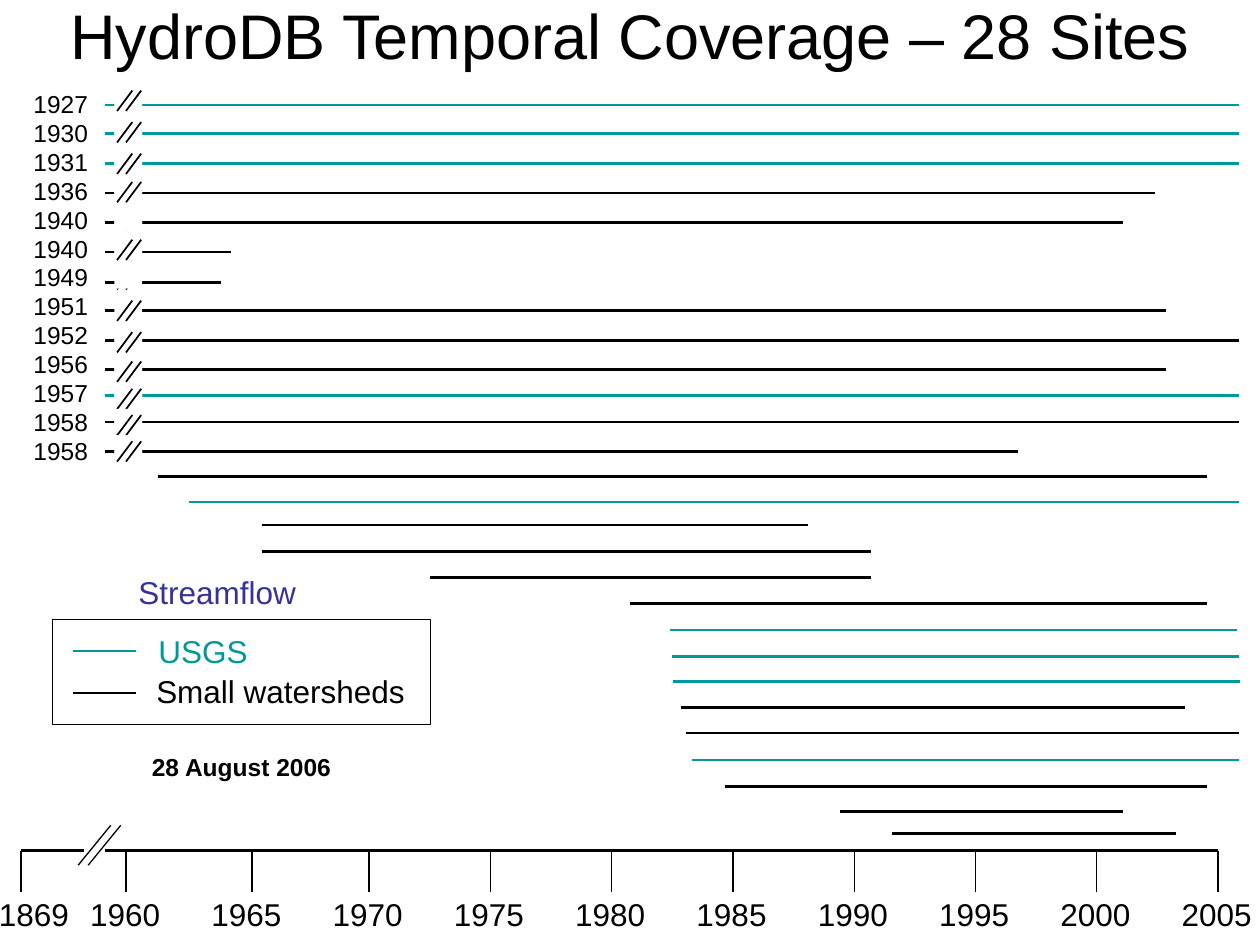
from dataclasses import dataclass

from lxml.etree import SubElement
from pptx import Presentation
from pptx.dml.color import RGBColor
from pptx.enum.shapes import MSO_CONNECTOR as Connector, MSO_SHAPE as Preset
from pptx.enum.text import MSO_ANCHOR as Anchor, MSO_AUTO_SIZE as AutoSize, PP_ALIGN as Align
from pptx.oxml.ns import qn
from pptx.util import Inches, Pt


@dataclass(frozen=True)
class Theme:
    font: str = "Arial"
    black: RGBColor = RGBColor(0x00, 0x00, 0x00)
    white: RGBColor = RGBColor(0xFF, 0xFF, 0xFF)
    teal: RGBColor = RGBColor(0x00, 0x99, 0x99)
    indigo: RGBColor = RGBColor(0x33, 0x33, 0x99)
    title: int = 36
    label: int = 18
    small: int = 14
    bar: float = 1.5
    outline: float = 1
    tick: float = 0.75


theme = Theme()
presentation = Presentation()
presentation.slide_width, presentation.slide_height = Inches(10), Inches(7.5)
slide = presentation.slides.add_slide(presentation.slide_layouts[5])

# Grid of 120 columns by 90 rows; all lengths below are in these units
column = presentation.slide_width / 120
row = presentation.slide_height / 90


def write(text, box, shape=None, size=theme.label, color=theme.black, bold=False,
          align=Align.LEFT, wrap=False, fit=AutoSize.SHAPE_TO_FIT_TEXT):
    shape = shape or slide.shapes.add_textbox(0, 0, 0, 0)
    left, top, width, height = box
    shape.left, shape.width = round(left * column), round(width * column)
    shape.top, shape.height = round(top * row), round(height * row)
    frame = shape.text_frame
    frame.text = text
    frame.word_wrap, frame.auto_size = wrap, fit
    if not wrap:
        frame.margin_right = 0
    paragraph = frame.paragraphs[0]
    paragraph.alignment = align
    font = paragraph.runs[0].font
    font.name, font.size, font.bold = theme.font, Pt(size), bold
    font.color.rgb = color
    return shape


def draw_line(x1, y1, x2, y2, color=theme.black, weight=theme.bar, shapes=slide.shapes):
    line = shapes.add_connector(Connector.STRAIGHT, round(x1 * column), round(y1 * row),
                                round(x2 * column), round(y2 * row))
    line.line.color.rgb = color
    line.line.width = Pt(weight)
    SubElement(line._element.spPr, qn("a:effectLst"))


# Title
title = write("HydroDB Temporal Coverage – 28 Sites", (0, 0, 120, 6.5),
              shape=slide.shapes.title, size=theme.title, align=Align.CENTER,
              wrap=True, fit=AutoSize.NONE)
title.text_frame.vertical_anchor = Anchor.MIDDLE

# Records starting before 1960: year, line row, end column, colour, break row
early_records = [
    ("1927", 10, 118, theme.teal, 9.6),
    ("1930", 12.7, 118, theme.teal, 12.6),
    ("1931", 15.6, 118, theme.teal, 15.6),
    ("1936", 18.4, 110, theme.black, 18.3),
    ("1940", 21.2, 107, theme.black, 21),
    ("1940", 24, 22, theme.black, 23.8),
    ("1949", 26.9, 21, theme.black, 26.6),
    ("1951", 29.6, 111, theme.black, 29.6),
    ("1952", 32.4, 118, theme.black, 32.6),
    ("1956", 35.2, 111, theme.black, 35.4),
    ("1957", 37.7, 118, theme.teal, 38),
    ("1958", 40.2, 118, theme.black, 40.5),
    ("1958", 43, 97, theme.black, 43),
]
for index, (year, y, end, color, _) in enumerate(early_records):
    write(year, (2, 7.9 + 2.75 * index, 7.6, 4.1), size=theme.small)
    draw_line(10, y, end, y, color)

# Axis breaks on the early records; the two lowest in the stack come first
covered = [early_records[6], early_records[4]]
for record in covered + [other for other in early_records if other not in covered]:
    center = record[4]
    group = slide.shapes.add_group_shape()
    if record[0] != "1949":
        mask = group.shapes.add_shape(
            Preset.RECTANGLE, round(10.9 * column), round((center - 1.55) * row),
            round(2.65 * column), round(5.25 * row))
        mask.shadow.inherit = False
        mask.fill.solid()
        mask.fill.fore_color.rgb = theme.white
        mask.line.fill.background()
    for x in (11.15, 12):
        draw_line(x, center + 0.97, x + 1.45, center - 0.97,
                  weight=theme.outline, shapes=group.shapes)

# Later records: start column, end column, row, colour
later_records = [
    (15, 115, 45.4, theme.black),
    (18, 118, 47.8, theme.teal),
    (25, 77, 50, theme.black),
    (25, 83, 52.5, theme.black),
    (41, 83, 55, theme.black),
    (60, 115, 57.5, theme.black),
    (63.8, 117.8, 60, theme.teal),
    (64, 118, 62.5, theme.teal),
    (64.1, 118.1, 64.9, theme.teal),
    (64.9, 112.9, 67.4, theme.black),
    (65.3, 118, 69.8, theme.black),
    (65.9, 118, 72.4, theme.teal),
    (69, 115, 74.9, theme.black),
    (80, 107, 77.3, theme.black),
    (85, 112, 79.4, theme.black),
]
for start, end, y, color in later_records:
    draw_line(start, y, end, y, color)

# Time axis with its break, ticks and years
axis, axis_end, tick_step = 81, 116, 11.55
draw_line(2, axis, 8, axis)
draw_line(10, axis, axis_end, axis)
for x in (7.45, 8.4):
    draw_line(x, 82.4, x + 3.1, 78.6, weight=theme.tick)
ticks = [2, 12, 24] + [axis_end - tick_step * step for step in range(7, -1, -1)]
for x in ticks:
    draw_line(x, axis, x, 85, weight=theme.tick)
write("1869", (-1.3, 84.7, 9, 4.8))
for index, year in enumerate(range(1960, 2006, 5)):
    write(str(year), (7.4 + tick_step * index, 84.65, 9, 4.8))

# Legend
frame = slide.shapes.add_shape(Preset.RECTANGLE, round(5 * column), round(59 * row),
                               round(36 * column), round(10 * row))
frame.shadow.inherit = False
frame.fill.background()
frame.line.color.rgb = theme.black
frame.line.width = Pt(theme.outline)
write("Streamflow", (12, 54, 17.4, 4.8), color=theme.indigo)
for text, left, top, width, y, color in [
    ("USGS", 13.9, 59.6, 10.9, 62, theme.teal),
    ("Small watersheds", 13.7, 63.4, 26, 66, theme.black),
]:
    draw_line(7, y, 13, y, color)
    write(text, (left, top, width, 4.8), color=color)

# Date
write("28 August 2006", (6, 71, 34, 4.1), size=theme.small, bold=True,
      align=Align.CENTER, wrap=True)

presentation.save("out.pptx")
